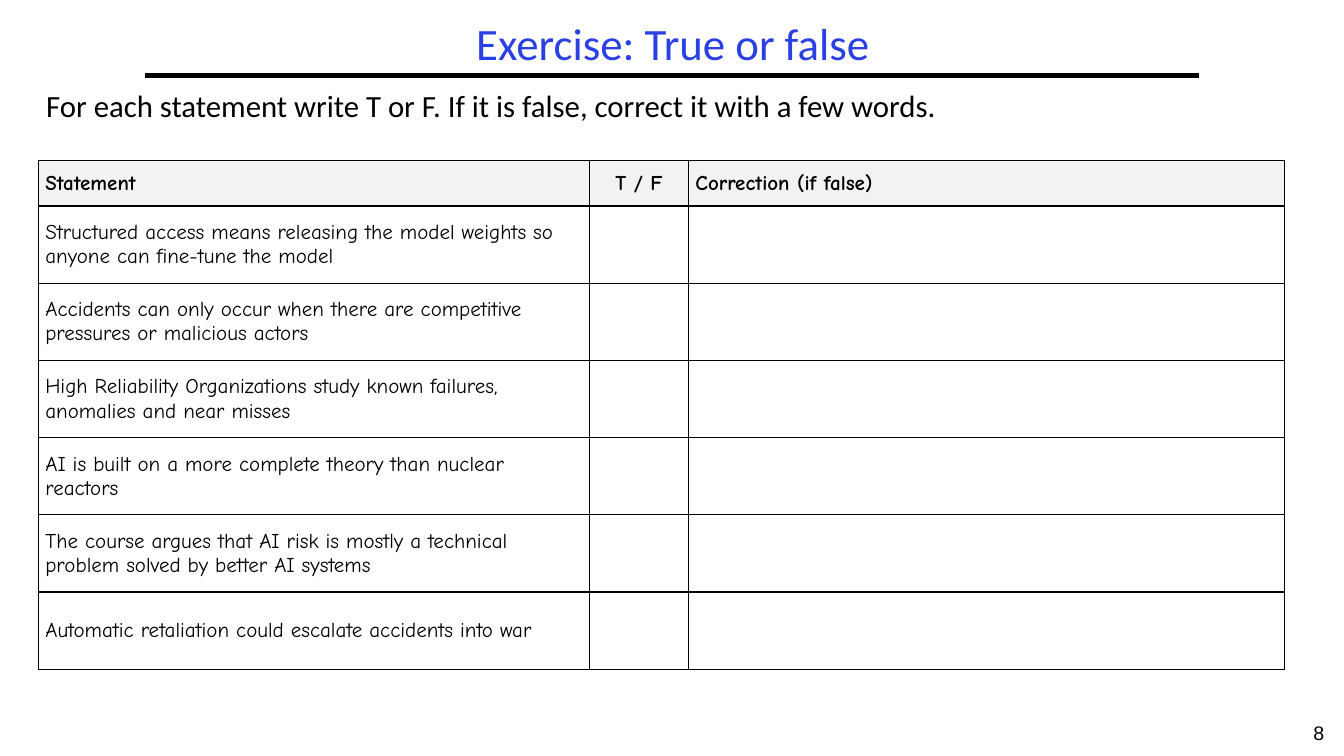
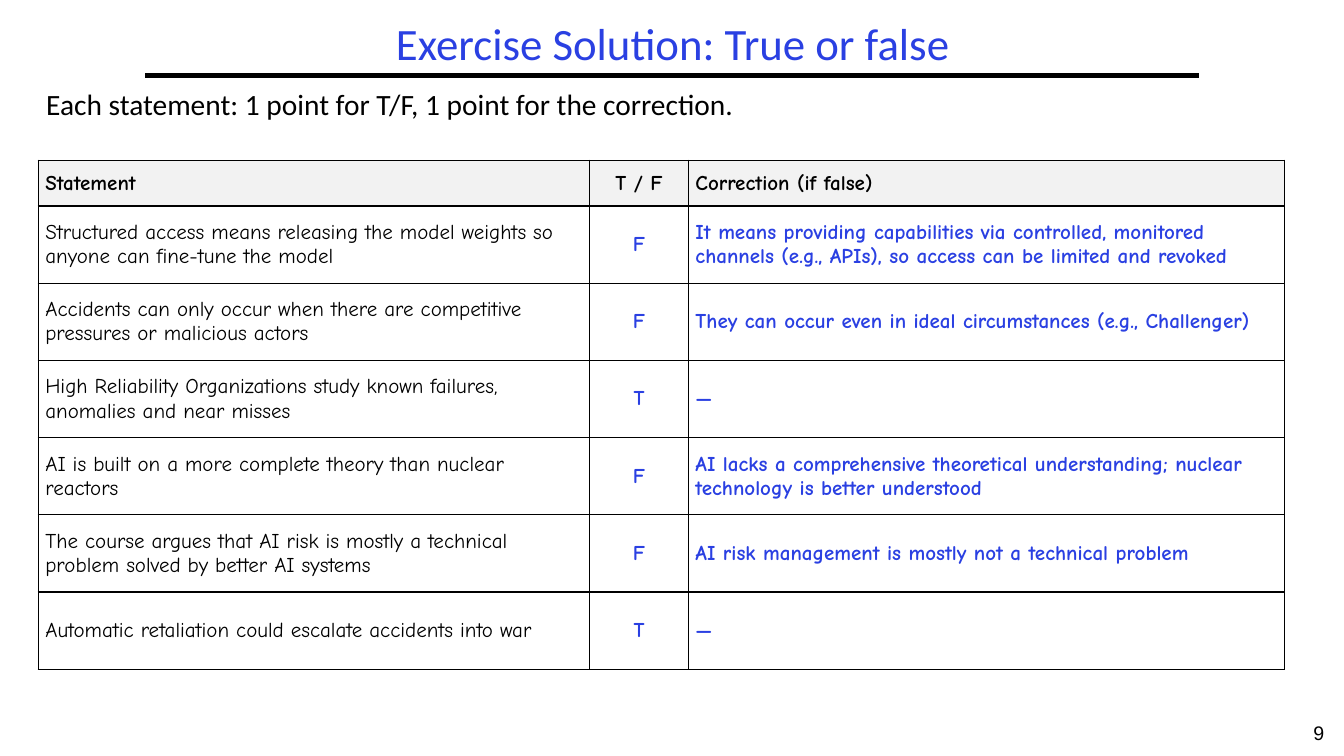
from lxml.etree import SubElement
from pptx import Presentation
from pptx.dml.color import RGBColor
from pptx.enum.shapes import MSO_CONNECTOR
from pptx.enum.text import MSO_ANCHOR, MSO_AUTO_SIZE, PP_ALIGN
from pptx.oxml.ns import qn
from pptx.util import Emu, Inches, Pt

# Shared look
SLIDE_W, SLIDE_H = Inches(13.33), Inches(7.5)
BLACK, WHITE, BLUE, HEADER_GREY = "000000", "FFFFFF", "2A40E2", "F2F2F2"
TEXT_FONT, TABLE_FONT, NUMBER_FONT = "Calibri", "Comic Neue", "Arial"
LEFT, CENTER = PP_ALIGN.LEFT, PP_ALIGN.CENTER

# Places in percent of the slide: left, top, width, height
TITLE_AREA = (10.8, 2.27, 78.54, 7.73)
INSTRUCTION_AREA = (2.7, 11.33, 94.35, 9.73)
TABLE_AREA = (2.85, 21.2, 92.7, 67.33)
NUMBER_AREA = (96.25, 94.67, 3.75, 5.33)
RULE_LEFT, RULE_RIGHT, RULE_Y = 10.8, 89.2, 10

# Table content
COLUMN_WEIGHTS = (5.47, 0.98, 5.91)
COLUMN_ALIGNS = (LEFT, CENTER, LEFT)
HEADER_SHARE = 0.09
HEADINGS = ("Statement", "T / F", "Correction (if false)")
SOLUTIONS = [
    ("Structured access means releasing the model weights so anyone can fine-tune the model",
     "F", "It means providing capabilities via controlled, monitored channels "
     "(e.g., APIs), so access can be limited and revoked"),
    ("Accidents can only occur when there are competitive pressures or malicious actors",
     "F", "They can occur even in ideal circumstances (e.g., Challenger)"),
    ("High Reliability Organizations study known failures, anomalies and near misses",
     "T", "—"),
    ("AI is built on a more complete theory than nuclear reactors",
     "F", "AI lacks a comprehensive theoretical understanding; nuclear technology "
     "is better understood"),
    ("The course argues that AI risk is mostly a technical problem solved by better AI systems",
     "F", "AI risk management is mostly not a technical problem"),
    ("Automatic retaliation could escalate accidents into war", "T", "—"),
]


def color(hex_text):
    return RGBColor.from_string(hex_text)


def across(percent):
    return Emu(round(SLIDE_W * percent / 100))


def down(percent):
    return Emu(round(SLIDE_H * percent / 100))


def place(area):
    left, top, width, height = area
    return across(left), down(top), across(width), down(height)


def write(frame, text, font, size, ink, align=LEFT, bold=False, spacing=1.0):
    """Fill a text frame with one formatted paragraph."""
    frame.word_wrap = True
    frame.text = text
    paragraph = frame.paragraphs[0]
    paragraph.alignment = align
    paragraph.line_spacing = spacing
    paragraph.space_before = Pt(0)
    paragraph.font.name, paragraph.font.size = font, Pt(size)
    paragraph.font.bold = bold
    paragraph.font.color.rgb = color(ink)


def add_title(slide, text):
    title = slide.shapes.title
    title.left, title.top, title.width, title.height = place(TITLE_AREA)
    title.text_frame.auto_size = MSO_AUTO_SIZE.NONE
    title.text_frame.vertical_anchor = MSO_ANCHOR.MIDDLE
    write(title.text_frame, text, TEXT_FONT, 32, BLUE, CENTER, spacing=0.9)


def add_rule(slide):
    rule = slide.shapes.add_connector(
        MSO_CONNECTOR.STRAIGHT, across(RULE_LEFT), down(RULE_Y),
        across(RULE_RIGHT), down(RULE_Y))
    rule.line.color.rgb = color(BLACK)
    rule.line.width = Pt(3)
    SubElement(rule._element.spPr, qn("a:effectLst"))


def add_text(slide, area, text, font, size, align=LEFT, spacing=1.0):
    box = slide.shapes.add_textbox(*place(area))
    write(box.text_frame, text, font, size, BLACK, align, spacing=spacing)


def add_borders(cell):
    properties = cell._tc.get_or_add_tcPr()
    for side in ("a:lnL", "a:lnR", "a:lnT", "a:lnB"):
        border = SubElement(properties, qn(side), w=str(Pt(1)))
        fill = SubElement(border, qn("a:solidFill"))
        SubElement(fill, qn("a:srgbClr"), val=BLACK)


def fill_cell(cell, text, align, ink, bold, background):
    cell.margin_left = cell.margin_right = Inches(0.07)
    cell.margin_top = cell.margin_bottom = Inches(0.03)
    cell.vertical_anchor = MSO_ANCHOR.MIDDLE
    write(cell.text_frame, text, TABLE_FONT, 15, ink, align, bold)
    add_borders(cell)
    cell.fill.solid()
    cell.fill.fore_color.rgb = color(background)


def add_statement_table(slide, show_answers):
    left, top, width, height = place(TABLE_AREA)
    rows = [HEADINGS] + [
        row if show_answers else (row[0], "", "") for row in SOLUTIONS]
    table = slide.shapes.add_table(
        len(rows), len(HEADINGS), left, top, width, height).table
    table.horz_banding = False

    for column, weight in zip(table.columns, COLUMN_WEIGHTS):
        column.width = Emu(round(width * weight / sum(COLUMN_WEIGHTS)))
    header_height = round(height * HEADER_SHARE)
    for number, row in enumerate(table.rows):
        row.height = Emu((height - header_height) // len(SOLUTIONS)
                         if number else header_height)

    for r, row in enumerate(rows):
        for c, text in enumerate(row):
            is_header, is_answer = r == 0, r > 0 and c > 0
            fill_cell(table.cell(r, c), text, COLUMN_ALIGNS[c],
                      BLUE if is_answer else BLACK, is_header or is_answer,
                      HEADER_GREY if is_header else WHITE)


def add_exercise(prs, number, title, instruction, size, show_answers):
    slide = prs.slides.add_slide(prs.slide_layouts.get_by_name("Title Only"))
    add_rule(slide)
    add_text(slide, NUMBER_AREA, str(number), NUMBER_FONT, 14, CENTER)
    add_title(slide, title)
    add_text(slide, INSTRUCTION_AREA, instruction, TEXT_FONT, size, spacing=0.9)
    add_statement_table(slide, show_answers)


def main():
    prs = Presentation()
    prs.slide_width, prs.slide_height = SLIDE_W, SLIDE_H
    add_exercise(
        prs, 8, "Exercise: True or false",
        "For each statement write T or F. If it is false, correct it with a few words.",
        22, show_answers=False)
    add_exercise(
        prs, 9, "Exercise Solution: True or false",
        "Each statement: 1 point for T/F, 1 point for the correction.",
        21, show_answers=True)
    prs.save("out.pptx")


if __name__ == "__main__":
    main()
